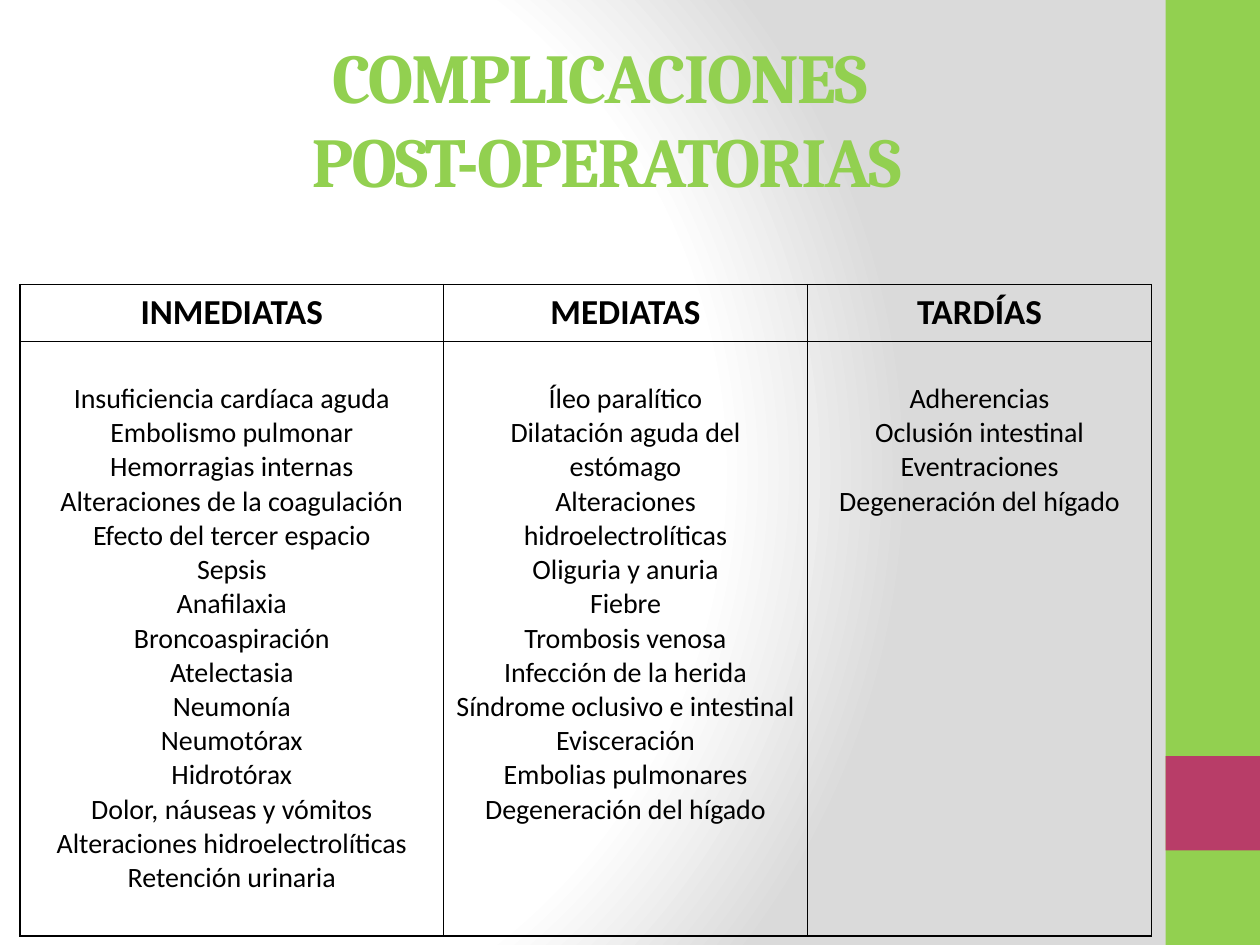
import pptx
import pptx.dml.color
import pptx.enum.shapes
import pptx.enum.text
import pptx.oxml
import pptx.oxml.ns
import pptx.util

Inches = pptx.util.Inches
Pt = pptx.util.Pt
RGBColor = pptx.dml.color.RGBColor
CENTER = pptx.enum.text.PP_ALIGN.CENTER
MIDDLE = pptx.enum.text.MSO_ANCHOR.MIDDLE

GREEN = RGBColor(0x92, 0xD0, 0x50)
MAGENTA = RGBColor(0xB8, 0x3D, 0x68)
BLACK = RGBColor(0, 0, 0)
WHITE = RGBColor(0xFF, 0xFF, 0xFF)
GREY = RGBColor(0xDA, 0xDA, 0xDA)

HEADING = {"size": Pt(40), "name": "Cambria", "bold": True, "color": GREEN}
COLUMN_HEAD = {"size": Pt(20), "name": "Calibri", "bold": True, "color": BLACK}
ENTRY = {"size": Pt(16), "name": "Calibri", "bold": False, "color": BLACK}

COMPLICATIONS = {
    "INMEDIATAS": [
        "Insuficiencia cardíaca aguda", "Embolismo pulmonar",
        "Hemorragias internas", "Alteraciones de la coagulación",
        "Efecto del tercer espacio", "Sepsis", "Anafilaxia",
        "Broncoaspiración", "Atelectasia", "Neumonía", "Neumotórax",
        "Hidrotórax", "Dolor, náuseas y vómitos",
        "Alteraciones hidroelectrolíticas", "Retención urinaria",
    ],
    "MEDIATAS": [
        "Íleo paralítico", "Dilatación aguda del estómago",
        "Alteraciones hidroelectrolíticas", "Oliguria y anuria", "Fiebre",
        "Trombosis venosa", "Infección de la herida",
        "Síndrome oclusivo e intestinal", "Evisceración",
        "Embolias pulmonares", "Degeneración del hígado",
    ],
    "TARDÍAS": [
        "Adherencias", "Oclusión intestinal", "Eventraciones",
        "Degeneración del hígado",
    ],
}


def parse_xml(tag, content, attributes=""):
    namespace = pptx.oxml.ns.nsdecls("a")
    return pptx.oxml.parse_xml(f"<a:{tag} {namespace} {attributes}>{content}</a:{tag}>")


class SlideBuilder:
    def __init__(self, slide, border_width=Pt(1)):
        self.slide = slide
        self.border_width = border_width

    def apply_format(self, font, values):
        for attribute, value in values.items():
            if attribute == "color":
                font.color.rgb = value
            else:
                setattr(font, attribute, value)

    def background(self, stops):
        """Fill the background with a radial gradient of (percent, colour) stops."""
        self.slide.background.fill.gradient()
        old = next(self.slide.element.iter(pptx.oxml.ns.qn("a:gradFill")))
        stop_xml = "".join(
            f'<a:gs pos="{percent * 1000}"><a:srgbClr val="{color}"/></a:gs>'
            for percent, color in stops)
        radial = ('<a:path path="circle"><a:fillToRect l="20000" t="50000" '
                  'r="100000" b="50000"/></a:path>')
        gradient = parse_xml("gradFill", f"<a:gsLst>{stop_xml}</a:gsLst>{radial}",
                             'rotWithShape="1"')
        old.getparent().replace(old, gradient)

    def bar(self, left, top, width, height, color):
        bar = self.slide.shapes.add_shape(
            pptx.enum.shapes.MSO_SHAPE.RECTANGLE,
            Inches(left), Inches(top), Inches(width), Inches(height))
        bar.shadow.inherit = False
        bar.fill.solid()
        bar.fill.fore_color.rgb = color
        bar.line.fill.background()

    def title(self, text, left, top, width, height):
        title = self.slide.shapes.title
        place = {"left": left, "top": top, "width": width, "height": height}
        for attribute, value in place.items():
            setattr(title, attribute, Inches(value))
        frame = title.text_frame
        frame.text = text
        frame.word_wrap = True
        frame.auto_size = pptx.enum.text.MSO_AUTO_SIZE.NONE
        frame.vertical_anchor = MIDDLE
        heading = frame.paragraphs[0]
        heading.alignment = CENTER
        for run in heading.runs:
            self.apply_format(run.font, HEADING)
            run.font._element.set("spc", "-100")

    def cell(self, cell, lines, values, margin_top):
        cell.fill.background()
        cell.margin_top = Inches(margin_top)
        cell.text = "\n".join(lines)
        for paragraph in cell.text_frame.paragraphs:
            paragraph.alignment = CENTER
            for run in paragraph.runs:
                self.apply_format(run.font, values)
        line = f'<a:solidFill><a:srgbClr val="{BLACK}"/></a:solidFill>'
        properties = cell._tc.get_or_add_tcPr()
        for position, side in enumerate("LRTB"):
            properties.insert(position, parse_xml(
                f"ln{side}", line, f'w="{self.border_width}"'))

    def table(self, columns, left, top, widths, heights):
        table = self.slide.shapes.add_table(
            2, len(columns), Inches(left), Inches(top),
            Inches(sum(widths)), Inches(sum(heights))).table
        table.first_row = table.horz_banding = False
        for row, height in zip(table.rows, heights):
            row.height = Inches(height)
        for index, (head, entries) in enumerate(columns.items()):
            table.columns[index].width = Inches(widths[index])
            self.cell(table.cell(0, index), [head], COLUMN_HEAD, 0.05)
            self.cell(table.cell(1, index), entries, ENTRY, 0.32)


def main():
    deck = pptx.Presentation()
    deck.slide_width, deck.slide_height = Inches(10), Inches(7.5)
    builder = SlideBuilder(deck.slides.add_slide(deck.slide_layouts[5]))
    builder.background([(0, WHITE), (75, WHITE), (100, GREY)])
    builder.bar(9.25, 0, 0.75, 7.5, GREEN)
    builder.bar(9.25, 6, 0.75, 0.75, MAGENTA)
    builder.title("COMPLICACIONES \vPOST-OPERATORIAS", 0.65, 0.31, 8.33, 1.25)
    builder.table(COMPLICATIONS, 0.16, 2.26, [3.36, 2.89, 2.73], [0.45, 4.72])
    deck.save("out.pptx")


if __name__ == "__main__":
    main()
